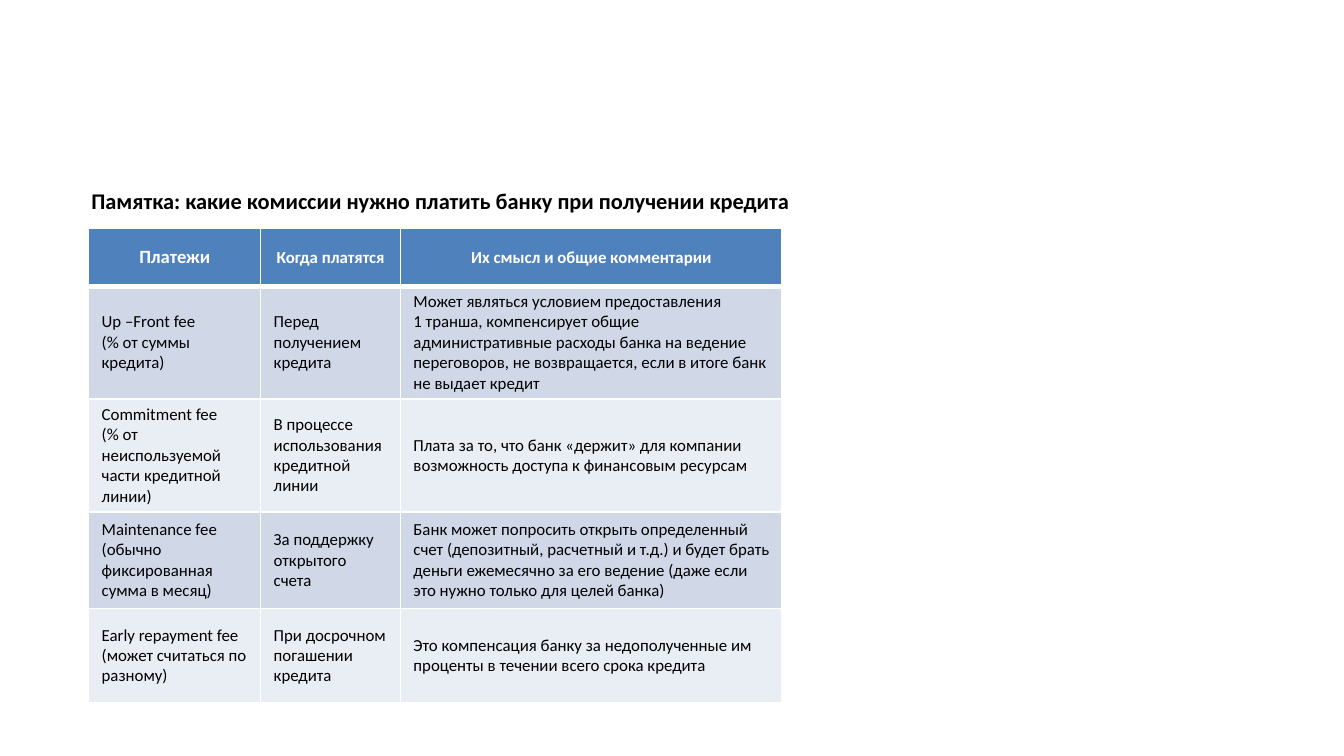
from lxml.etree import SubElement
from pptx import Presentation
from pptx.dml.color import RGBColor
from pptx.enum.text import MSO_ANCHOR, PP_ALIGN
from pptx.oxml.ns import qn
from pptx.util import Inches, Pt

COLORS = {"header": "4F81BD", "odd": "D0D8E8", "even": "E9EDF4",
          "white": "FFFFFF", "black": "000000"}
FONT = "Calibri"


def add_run(p, text, size, color, bold):
    r = p.add_run()
    r.text = text
    r.font.name = FONT
    r.font.size = Pt(size)
    r.font.bold = bold
    r.font.color.rgb = RGBColor.from_string(COLORS[color])


def add_borders(cell, widths):
    tc_pr = cell._tc.get_or_add_tcPr()
    for i, (side, width) in enumerate(widths.items()):
        ln = SubElement(tc_pr, qn(f"a:ln{side}"), w=str(Pt(width)))
        fill = SubElement(ln, qn("a:solidFill"))
        SubElement(fill, qn("a:srgbClr"), val=COLORS["white"])
        tc_pr.insert(i, ln)  # borders come before the cell fill


# Widescreen slide, 16:9
prs = Presentation()
prs.slide_width = Inches(10)
prs.slide_height = prs.slide_width * 9 // 16
s = prs.slides.add_slide(prs.slide_layouts[5])

# Title
title = s.shapes.title
title.left, title.top = Inches(0.58), Inches(1.34)
title.width, title.height = Inches(5.46), Inches(0.43)
tf = title.text_frame
tf.word_wrap = True
tf.vertical_anchor = MSO_ANCHOR.TOP
p = tf.paragraphs[0]
p.alignment = PP_ALIGN.LEFT
add_run(p, "Памятка: какие комиссии нужно платить банку при получении кредита",
        12, "black", True)

# Fee table: one tuple per row, one line per paragraph
rows = [
    ("Платежи", "Когда платятся", "Их смысл и общие комментарии"),
    ("Up –Front fee\n(% от суммы кредита)",
     "Перед получением кредита",
     "Может являться условием предоставления\n"
     "1 транша, компенсирует общие административные расходы банка на ведение "
     "переговоров, не возвращается, если в итоге банк не выдает кредит"),
    ("Commitment fee\n(% от неиспользуемой части кредитной линии)",
     "В процессе использования кредитной линии",
     "Плата за то, что банк «держит» для компании возможность доступа "
     "к финансовым ресурсам"),
    ("Maintenance fee (обычно фиксированная сумма в месяц)",
     "За поддержку открытого счета",
     "Банк может попросить открыть определенный счет (депозитный, расчетный "
     "и т.д.) и будет брать деньги ежемесячно за его ведение (даже если это "
     "нужно только для целей банка)"),
    ("Early repayment fee (может считаться по разному)",
     "При досрочном погашении кредита",
     "Это компенсация банку за недополученные им проценты в течении всего "
     "срока кредита"),
]
col_widths = [1.28, 1.04, 2.84]
row_heights = [0.43, 0.84, 0.83, 0.72, 0.7]

table = s.shapes.add_table(
    len(rows), len(col_widths), Inches(0.66), Inches(1.7),
    Inches(sum(col_widths)), Inches(sum(row_heights))).table
for col, width in zip(table.columns, col_widths):
    col.width = Inches(width)

for i, (texts, height) in enumerate(zip(rows, row_heights)):
    table.rows[i].height = Inches(height)
    is_header = i == 0
    fill = "header" if is_header else "odd" if i % 2 else "even"
    for j, text in enumerate(texts):
        cell = table.cell(i, j)
        cell.vertical_anchor = MSO_ANCHOR.MIDDLE
        cell.margin_left = cell.margin_right = Pt(7)
        cell.margin_top = cell.margin_bottom = Inches(0.04)
        cell.fill.solid()
        cell.fill.fore_color.rgb = RGBColor.from_string(COLORS[fill])
        add_borders(cell, {"L": 1, "R": 1, "T": 3 if i == 1 else 1,
                           "B": 3 if is_header else 1})
        tf = cell.text_frame
        for k, line in enumerate(text.split("\n")):
            p = tf.add_paragraph() if k else tf.paragraphs[0]
            p.alignment = PP_ALIGN.CENTER if is_header else PP_ALIGN.LEFT
            add_run(p, line, 10 if i == j == 0 else 9,
                    "white" if is_header else "black", is_header)

prs.save("out.pptx")
